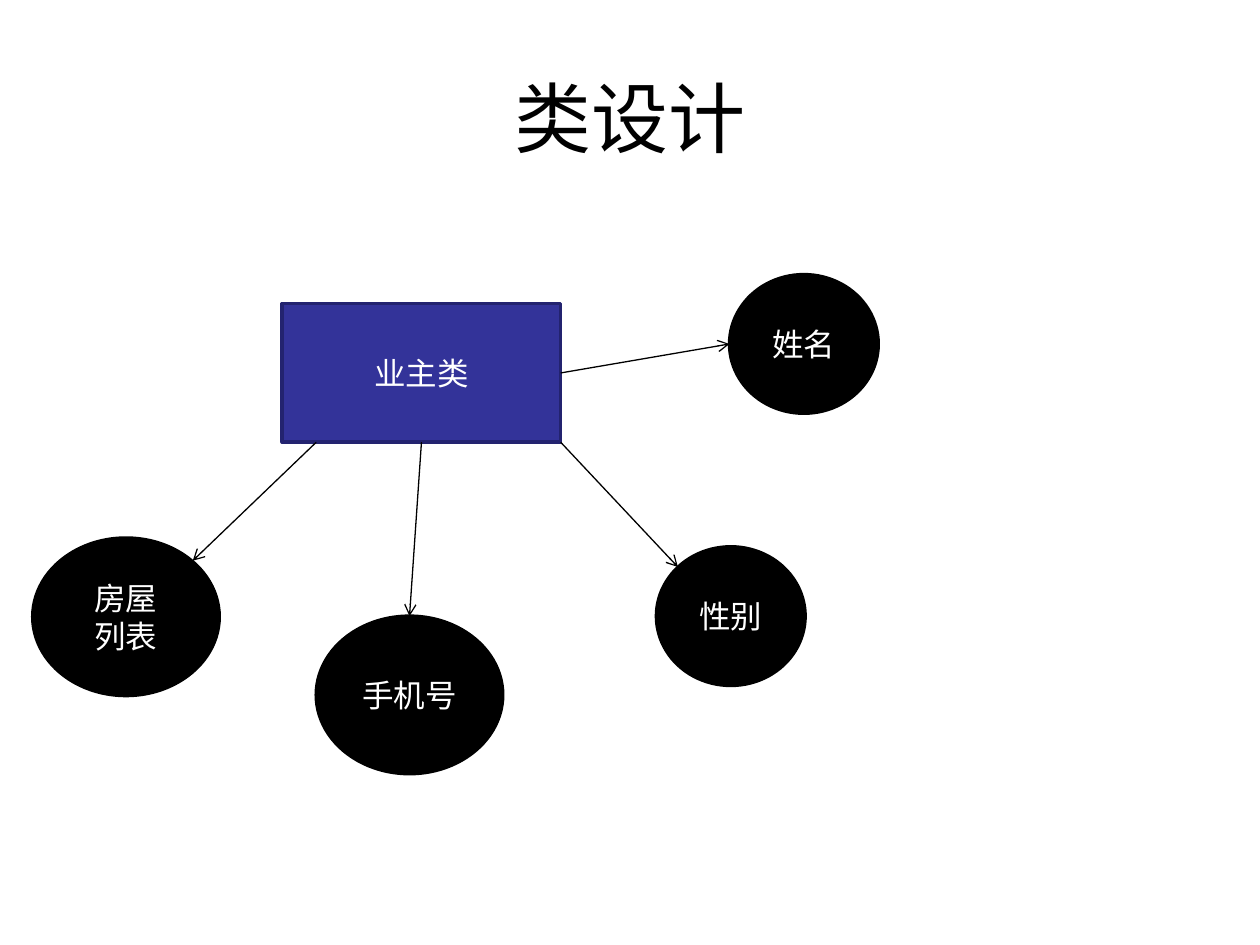
import pptx
import pptx.util
import pptx.dml.color
import pptx.enum.shapes
import pptx.enum.text
import pptx.oxml
import pptx.oxml.ns

Inches = pptx.util.Inches
Pt = pptx.util.Pt
KIND = pptx.enum.shapes.MSO_SHAPE
HUES = {"ink": "000000", "paper": "FFFFFF", "blue": "333399", "edge": "23236F"}


def hue(name):
    return pptx.dml.color.RGBColor.from_string(HUES[name])


def write(shape, text, size=18, color="paper"):
    """Put centred text in a shape, one paragraph a line."""
    frame = shape.text_frame
    frame.word_wrap = True
    frame.vertical_anchor = pptx.enum.text.MSO_ANCHOR.MIDDLE
    frame.text = text
    for para in frame.paragraphs:
        para.alignment = pptx.enum.text.PP_ALIGN.CENTER
        for run in para.runs:
            run.font.name = "Arial"
            run.font.size = Pt(size)
            run.font.color.rgb = hue(color)


def place(shape, box):
    shape.left, shape.top, shape.width, shape.height = map(Inches, box)


def node(slide, kind, text, box, fill="ink", edge="ink"):
    shape = slide.shapes.add_shape(kind, *map(Inches, box))
    shape.shadow.inherit = False
    shape.fill.solid()
    shape.fill.fore_color.rgb = hue(fill)
    shape.line.color.rgb = hue(edge)
    shape.line.width = Pt(2)
    write(shape, text)
    return shape


def arrow(slide, start, end):
    link = slide.shapes.add_connector(
        pptx.enum.shapes.MSO_CONNECTOR.STRAIGHT, *map(Inches, start + end))
    link.line.color.rgb = hue("ink")
    link.line.width = Pt(0.75)
    tip = pptx.oxml.parse_xml(
        '<a:tailEnd %s type="arrow"/>' % pptx.oxml.ns.nsdecls("a"))
    link.line._get_or_add_ln().append(tip)
    link._element.spPr.append(pptx.oxml.parse_xml(
        "<a:effectLst %s/>" % pptx.oxml.ns.nsdecls("a")))
    return link


def main():
    deck = pptx.Presentation()
    deck.slide_width, deck.slide_height = Inches(10), Inches(7.5)
    slide = deck.slides.add_slide(deck.slide_layouts[5])
    title = slide.shapes.title
    place(title, (0.5, 0.3, 9, 1.25))
    write(title, "类设计", size=44, color="ink")

    owner = node(slide, KIND.RECTANGLE, "业主类", (2.24, 2.41, 2.21, 1.1),
                 fill="blue", edge="edge")
    small, large = (1.18, 1.1), (1.48, 1.25)
    node(slide, KIND.OVAL, "姓名", (5.79, 2.18) + small)
    node(slide, KIND.OVAL, "性别", (5.21, 4.34) + small)
    phone = node(slide, KIND.OVAL, "手机号", (2.51, 4.89) + large)
    node(slide, KIND.OVAL, "房屋\n列表", (0.26, 4.27) + large)

    arrow(slide, (4.45, 2.96), (5.79, 2.73)).begin_connect(owner, 3)
    arrow(slide, (4.45, 3.51), (5.38, 4.5))
    down = arrow(slide, (3.35, 3.51), (3.25, 4.89))
    down.begin_connect(owner, 2)
    down.end_connect(phone, 0)
    arrow(slide, (2.51, 3.51), (1.53, 4.45))
    deck.save("out.pptx")


if __name__ == "__main__":
    main()
